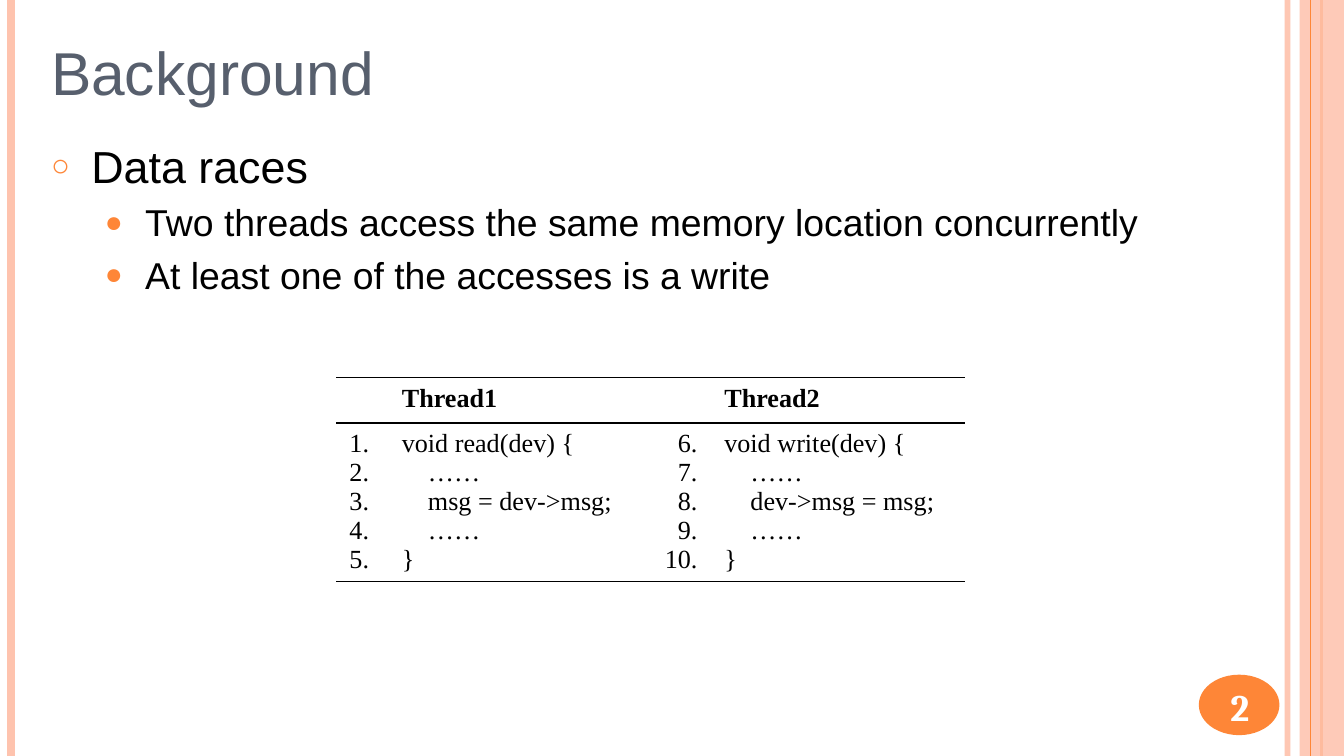
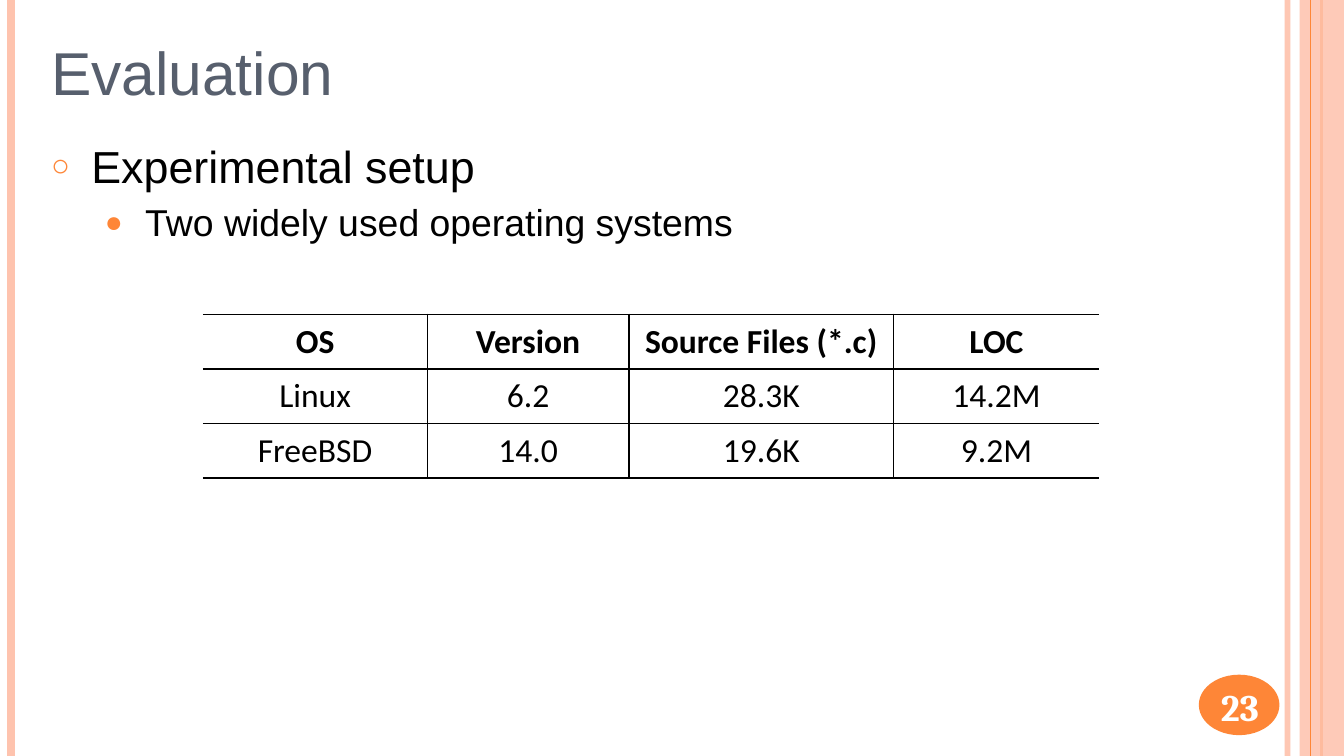
from dataclasses import dataclass
from typing import NamedTuple

from lxml import etree
from pptx import Presentation
from pptx.dml.color import RGBColor
from pptx.enum.shapes import MSO_CONNECTOR, MSO_SHAPE
from pptx.enum.text import MSO_ANCHOR, MSO_AUTO_SIZE, PP_ALIGN
from pptx.oxml.ns import qn
from pptx.util import Pt

PX = 4572  # 200 px to the inch
PAGE_WIDTH, PAGE_HEIGHT = 2000, 1125

STRAIGHT = MSO_CONNECTOR.STRAIGHT
RECTANGLE, OVAL = MSO_SHAPE.RECTANGLE, MSO_SHAPE.OVAL
LEFT, CENTER, RIGHT = PP_ALIGN.LEFT, PP_ALIGN.CENTER, PP_ALIGN.RIGHT
TOP, MIDDLE, BOTTOM = MSO_ANCHOR.TOP, MSO_ANCHOR.MIDDLE, MSO_ANCHOR.BOTTOM
NO_AUTOFIT = MSO_AUTO_SIZE.NONE

COLORS = {
    "accent": "FE8637",
    "pale": "FEC3AE",
    "title": "575F6D",
    "text": "000000",
    "number": "FFFFFF",
}


class Box(NamedTuple):
    left: int
    top: int
    width: int
    height: int

    def emu(self) -> list[int]:
        return [value * PX for value in self]


class Rail(NamedTuple):
    x: int
    color: str
    weight: float
    opacity: int = 100


class Bullet(NamedTuple):
    char: str
    percent: int
    margin: int
    hanging: int
    size: int


@dataclass
class Grid:
    box: Box
    columns: list[int]
    rows: list[int]
    cells: list[list[str]]
    aligns: list
    font: str
    size: int
    column_rules: bool = False


@dataclass
class Page:
    title: str
    number: int
    items: list[tuple[int, str]]
    grid: Grid
    title_width: int


BACK_RAILS = [Rail(1916, "pale", 3, 93), Rail(16, "pale", 4.5), Rail(1966, "accent", 1.5)]
FRONT_RAILS = [Rail(1950, "accent", 0.75)]
BAND = Box(1934, 0, 66, PAGE_HEIGHT)
BADGE = Box(1784, 1004, 120, 90)
NUMBER = Box(1778, 1008, 134, 86)
BODY = Box(56, 196, 1826, 866)
BULLETS = [Bullet("○", 70, 60, 60, 24), Bullet("●", 80, 140, 60, 20)]


def rgb(name: str) -> RGBColor:
    return RGBColor.from_string(COLORS[name])


def line_numbers(first: int, last: int) -> str:
    return "\n".join(f"{number}." for number in range(first, last + 1))


def thread_code(name: str, statement: str) -> str:
    return f"void {name}(dev) {{\n    ……\n    {statement}\n    ……\n}}"


def write(para, text: str, *, font: str = "Arial", size: float = 20, color: str = "text",
          bold: bool = False, align=LEFT) -> None:
    para.alignment = align
    if not text:
        etree.SubElement(para._p, qn("a:endParaRPr"), sz=str(size * 100))
        return
    span = para.add_run()
    span.text = text
    span.font.name = font
    span.font.size = Pt(size)
    span.font.bold = bold
    span.font.color.rgb = rgb(color)


def set_frame(frame, anchor) -> None:
    frame.word_wrap = True
    frame.auto_size = NO_AUTOFIT
    frame.vertical_anchor = anchor


def next_para(frame, index: int):
    return frame.add_paragraph() if index else frame.paragraphs[0]


def set_opacity(shape, percent: int) -> None:
    color = next(shape._element.iter(qn("a:srgbClr")))
    etree.SubElement(color, qn("a:alpha"), val=str(percent * 1000))


def add_rail(slide, rail: Rail) -> None:
    x = rail.x * PX
    line = slide.shapes.add_connector(STRAIGHT, x, 0, x, PAGE_HEIGHT * PX)
    line.line.color.rgb = rgb(rail.color)
    line.line.width = Pt(rail.weight)
    etree.SubElement(line._element.spPr, qn("a:effectLst"))
    if rail.opacity < 100:
        set_opacity(line, rail.opacity)


def add_filled(slide, kind, box: Box, color: str):
    shape = slide.shapes.add_shape(kind, *box.emu())
    shape.shadow.inherit = False
    shape.fill.solid()
    shape.fill.fore_color.rgb = rgb(color)
    shape.line.fill.background()
    return shape


def add_frame(slide, number: int) -> None:
    """Draw the side rails, the band and the page number."""
    for rail in BACK_RAILS:
        add_rail(slide, rail)
    set_opacity(add_filled(slide, RECTANGLE, BAND, "pale"), 87)
    for rail in FRONT_RAILS:
        add_rail(slide, rail)
    add_filled(slide, OVAL, BADGE, "accent")
    frame = slide.shapes.add_textbox(*NUMBER.emu()).text_frame
    set_frame(frame, MIDDLE)
    write(frame.paragraphs[0], str(number), font="Cambria", color="number",
          bold=True, align=CENTER)


def fill_placeholder(shape, box: Box, anchor):
    shape.left, shape.top, shape.width, shape.height = box.emu()
    set_frame(shape.text_frame, anchor)
    return shape.text_frame


def set_bullet(para, bullet: Bullet) -> None:
    props = para._p.get_or_add_pPr()
    props.set("marL", str(bullet.margin * PX))
    props.set("indent", str(-bullet.hanging * PX))
    color = etree.SubElement(props, qn("a:buClr"))
    etree.SubElement(color, qn("a:srgbClr"), val=COLORS["accent"])
    etree.SubElement(props, qn("a:buSzPct"), val=str(bullet.percent * 1000))
    etree.SubElement(props, qn("a:buFont"), typeface="Arial")
    etree.SubElement(props, qn("a:buChar"), char=bullet.char)


def add_items(frame, items: list[tuple[int, str]]) -> None:
    for index, (level, text) in enumerate(items):
        para = next_para(frame, index)
        para.level = level
        set_bullet(para, BULLETS[level])
        if index == 0:
            para.space_before = Pt(0)
        write(para, text, size=BULLETS[level].size)


def set_borders(cell, shown: dict[str, bool]) -> None:
    props = cell._tc.get_or_add_tcPr()
    for side, visible in shown.items():
        edge = etree.SubElement(props, qn(f"a:ln{side}"), w=str(Pt(1)))
        if visible:
            fill = etree.SubElement(edge, qn("a:solidFill"))
            etree.SubElement(fill, qn("a:srgbClr"), val=COLORS["text"])
        else:
            etree.SubElement(edge, qn("a:noFill"))


def add_grid(slide, grid: Grid) -> None:
    shape = slide.shapes.add_table(len(grid.rows), len(grid.columns), *grid.box.emu())
    table = shape.table
    table.first_row = table.horz_banding = False
    for column, width in zip(table.columns, grid.columns):
        column.width = width * PX
    for row, height in zip(table.rows, grid.rows):
        row.height = height * PX
    last = len(grid.columns) - 1
    for row_index, texts in enumerate(grid.cells):
        for column_index, text in enumerate(texts):
            cell = table.cell(row_index, column_index)
            set_borders(cell, {
                "L": grid.column_rules and column_index > 0,
                "R": grid.column_rules and column_index < last,
                "T": True,
                "B": True,
            })
            cell.fill.background()
            for index, line in enumerate(text.split("\n")):
                write(next_para(cell.text_frame, index), line, font=grid.font,
                      size=grid.size, bold=row_index == 0,
                      align=grid.aligns[column_index])


def add_page(deck, page: Page) -> None:
    slide = deck.slides.add_slide(deck.slide_layouts[1])
    add_frame(slide, page.number)
    title = fill_placeholder(slide.shapes.title, Box(56, 42, page.title_width, 128), BOTTOM)
    write(title.paragraphs[0], page.title, size=32.4, color="title")
    add_items(fill_placeholder(slide.placeholders[1], BODY, TOP), page.items)
    add_grid(slide, page.grid)


THREADS = Grid(
    box=Box(500, 562, 936, 298),
    columns=[78, 386, 94, 378],
    rows=[62, 236],
    cells=[
        ["", "Thread1", "", "Thread2"],
        [line_numbers(1, 5), thread_code("read", "msg = dev->msg;"),
         line_numbers(6, 10), thread_code("write", "dev->msg = msg;")],
    ],
    aligns=[LEFT, LEFT, RIGHT, LEFT],
    font="Times New Roman",
    size=14,
)

SYSTEMS = Grid(
    box=Box(302, 468, 1334, 243),
    columns=[334, 300, 394, 306],
    rows=[81] * 3,
    cells=[
        ["OS", "Version", "Source Files (*.c)", "LOC"],
        ["Linux", "6.2", "28.3K", "14.2M"],
        ["FreeBSD", "14.0", "19.6K", "9.2M"],
    ],
    aligns=[CENTER] * 4,
    font="Calibri",
    size=18,
    column_rules=True,
)

PAGES = [
    Page("Background", 2, [
        (0, "Data races"),
        (1, "Two threads access the same memory location concurrently"),
        (1, "At least one of the accesses is a write"),
    ], THREADS, title_width=1842),
    Page("Evaluation", 23, [
        (0, "Experimental setup"),
        (1, "Two widely used operating systems"),
    ], SYSTEMS, title_width=1482),
]


def main() -> None:
    deck = Presentation()
    deck.slide_width = PAGE_WIDTH * PX
    deck.slide_height = PAGE_HEIGHT * PX
    for page in PAGES:
        add_page(deck, page)
    deck.save("out.pptx")


if __name__ == "__main__":
    main()
